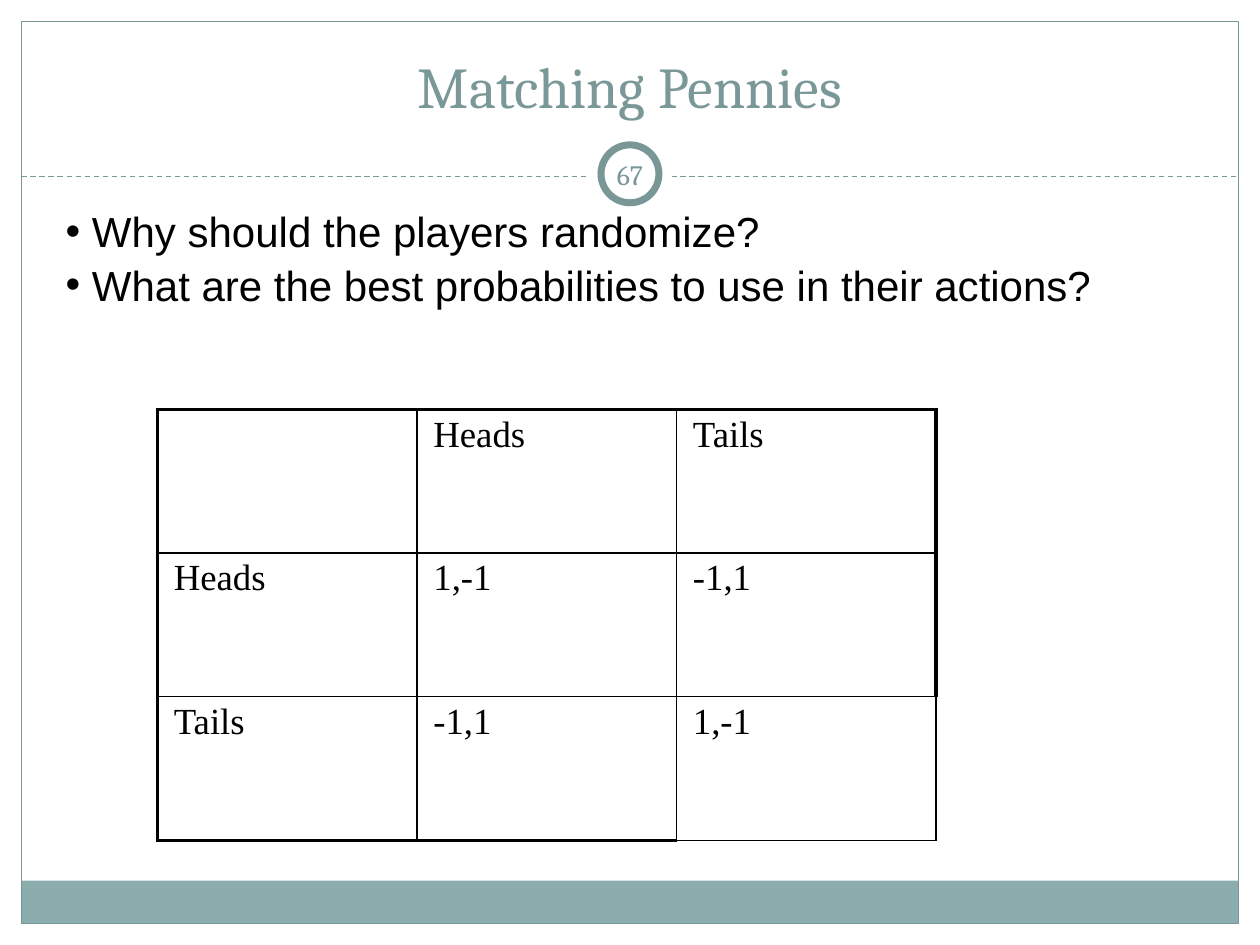
from dataclasses import dataclass

from lxml import etree
from pptx import Presentation
from pptx.dml.color import RGBColor
from pptx.enum import dml, shapes, text
from pptx.oxml import ns
from pptx.util import Inches, Pt


@dataclass(frozen=True)
class Theme:
    accent: str = "7B9899"
    outline: str = "7A9798"
    band: str = "8CADAE"
    paper: str = "FFFFFF"
    ink: str = "000000"
    heading_font: str = "Cambria"
    body_font: str = "Arial"
    table_font: str = "Times New Roman"
    title_size: float = 33
    body_size: float = 24
    table_size: float = 21
    number_size: float = 16
    thin: float = 1
    thick: float = 2.25


THEME = Theme()
PAYOFFS = [
    ["", "Heads", "Tails"],
    ["Heads", "1,-1", "-1,1"],
    ["Tails", "-1,1", "1,-1"],
]
QUESTIONS = [
    "Why should the players randomize?",
    "What are the best probabilities to use in their actions?",
]


def write(paragraph, content, *, font, size, color, align=text.PP_ALIGN.LEFT, before=0):
    paragraph.alignment = align
    paragraph.space_before = Pt(before)
    run = paragraph.add_run()
    run.text = content
    run.font.name = font
    run.font.size = Pt(size)
    run.font.color.rgb = RGBColor.from_string(color)


def place(shape, box):
    shape.left, shape.top, shape.width, shape.height = map(Inches, box)


def prepare_frame(shape, anchor):
    frame = shape.text_frame
    frame.word_wrap = True
    frame.auto_size = text.MSO_AUTO_SIZE.NONE
    frame.vertical_anchor = anchor
    return frame


def add_panel(slide, kind, box, fill=None, line=None, width=0.75):
    shape = slide.shapes.add_shape(kind, *map(Inches, box))
    shape.shadow.inherit = False
    if fill:
        shape.fill.solid()
        shape.fill.fore_color.rgb = RGBColor.from_string(fill)
    else:
        shape.fill.background()
    if line:
        shape.line.color.rgb = RGBColor.from_string(line)
        shape.line.width = Pt(width)
    else:
        shape.line.fill.background()


def add_border(slide, box):
    left, top, width, height = box
    rectangle = shapes.MSO_SHAPE.RECTANGLE
    band_height = 0.34
    band = (left, top + height - band_height, width, band_height)
    add_panel(slide, rectangle, band, fill=THEME.band)
    add_panel(slide, rectangle, box, line=THEME.outline)


def add_divider(slide, left, right, y):
    divider = slide.shapes.add_connector(
        shapes.MSO_CONNECTOR.STRAIGHT, Inches(left), Inches(y), Inches(right), Inches(y)
    )
    divider.line.color.rgb = RGBColor.from_string(THEME.outline)
    divider.line.width = Pt(0.75)
    divider.line.dash_style = dml.MSO_LINE.DASH
    etree.SubElement(divider._element.spPr, ns.qn("a:effectLst"))


def add_number_badge(slide, center_x, center_y, number):
    def centered(size):
        return center_x - size / 2, center_y - size / 2, size, size

    oval = shapes.MSO_SHAPE.OVAL
    add_panel(slide, oval, centered(0.67), fill=THEME.paper)
    add_panel(slide, oval, centered(0.46), fill=THEME.paper, line=THEME.outline, width=4)
    label = slide.shapes.add_textbox(*map(Inches, centered(0.5)))
    frame = prepare_frame(label, text.MSO_ANCHOR.MIDDLE)
    frame.margin_left = frame.margin_right = Inches(0.05)
    write(frame.paragraphs[0], number, font=THEME.heading_font, size=THEME.number_size,
          color=THEME.accent, align=text.PP_ALIGN.CENTER)


def fill_title(slide, box, title):
    shape = slide.shapes.title
    place(shape, box)
    frame = prepare_frame(shape, text.MSO_ANCHOR.BOTTOM)
    write(frame.paragraphs[0], title, font=THEME.heading_font, size=THEME.title_size,
          color=THEME.accent, align=text.PP_ALIGN.CENTER)


def fill_questions(slide, box, questions):
    shape = slide.placeholders[1]
    place(shape, box)
    frame = prepare_frame(shape, text.MSO_ANCHOR.TOP)
    hanging = Inches(0.21)
    for index, question in enumerate(questions):
        paragraph = frame.add_paragraph() if index else frame.paragraphs[0]
        write(paragraph, question, font=THEME.body_font, size=THEME.body_size,
              color=THEME.ink, before=2)
        properties = paragraph._p.get_or_add_pPr()
        properties.set("marL", str(hanging))
        properties.set("indent", str(-hanging))


def set_cell_borders(cell, widths):
    properties = cell._tc.get_or_add_tcPr()
    for position, (side, width) in enumerate(widths.items()):
        line = etree.Element(ns.qn(f"a:ln{side}"), w=str(Pt(width)))
        fill = etree.SubElement(line, ns.qn("a:solidFill"))
        etree.SubElement(fill, ns.qn("a:srgbClr"), val=THEME.ink)
        properties.insert(position, line)


def add_payoff_table(slide, box, rows):
    row_count, column_count = len(rows), len(rows[0])
    table = slide.shapes.add_table(row_count, column_count, *map(Inches, box)).table
    table.first_row = table.horz_banding = False
    for r, row in enumerate(rows):
        for c, content in enumerate(row):
            cell = table.cell(r, c)
            cell.fill.background()
            cell.margin_left = cell.margin_right = Inches(0.13)
            cell.margin_top = cell.margin_bottom = Inches(0.04)
            last_row, last_column = r == row_count - 1, c == column_count - 1
            thick_sides = {
                "L": c == 0,
                "R": last_column and not last_row,
                "T": r == 0,
                "B": last_row and not last_column,
            }
            set_cell_borders(cell, {
                side: THEME.thick if thick else THEME.thin
                for side, thick in thick_sides.items()
            })
            if content:
                write(cell.text_frame.paragraphs[0], content, font=THEME.table_font,
                      size=THEME.table_size, color=THEME.ink)


def main():
    presentation = Presentation()
    presentation.slide_width, presentation.slide_height = Inches(10), Inches(7.5)
    slide = presentation.slides.add_slide(presentation.slide_layouts[1])
    add_border(slide, (0.17, 0.17, 9.66, 7.16))
    add_divider(slide, 0.17, 9.83, 1.4)
    add_number_badge(slide, 5, 1.38, "67")
    fill_title(slide, (0.75, -0.25, 8.5, 1.25), "Matching Pennies")
    fill_questions(slide, (0.42, 1.58, 9.25, 0.91), QUESTIONS)
    add_payoff_table(slide, (1.25, 3.25, 6.18, 3.42), PAYOFFS)
    presentation.save("out.pptx")


if __name__ == "__main__":
    main()
